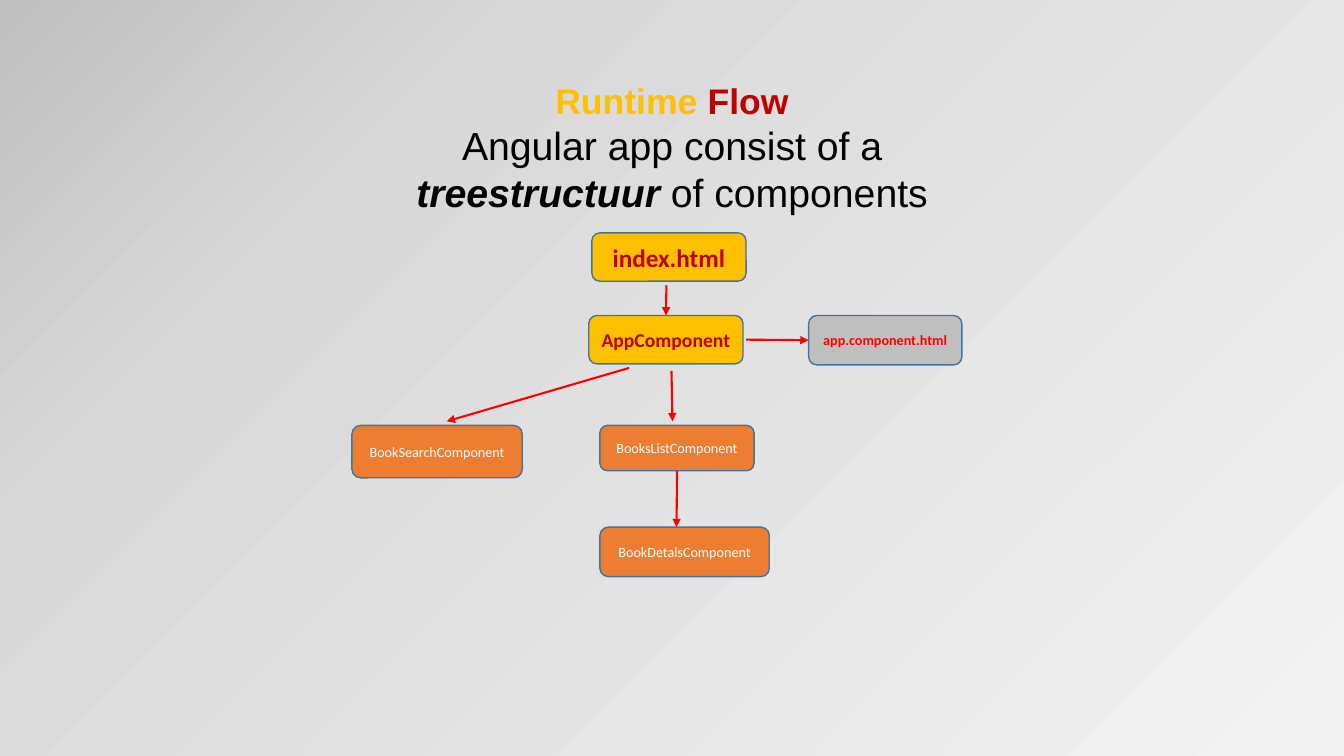
"""Build a slide showing the runtime flow of an Angular app."""
from dataclasses import dataclass

from lxml import etree
from pptx import Presentation
from pptx.dml.color import RGBColor
from pptx.enum.shapes import MSO_CONNECTOR as Connector, MSO_SHAPE as Shape
from pptx.enum.text import MSO_ANCHOR as Anchor, PP_ALIGN as Align
from pptx.oxml.ns import qn
from pptx.util import Inches, Pt


@dataclass(frozen=True)
class Theme:
    amber: str = "FFC000"
    dark_red: str = "C00000"
    red: str = "FF0000"
    orange: str = "ED7D31"
    grey: str = "BFBFBF"
    white: str = "FFFFFF"
    black: str = "000000"
    outline: str = "43739E"
    backdrop: tuple = ((1, "F2F2F2"), (74, "D9D9D9"), (100, "BFBFBF"), (100, "A6A6A6"))
    title_font: str = "Arial"
    box_font: str = "Calibri"
    heading: float = 25.4
    subtitle: float = 28
    root: float = 18
    component: float = 14
    small: float = 10.1


THEME = Theme()


def paint_background(slide):
    slide.background.fill.gradient()
    gradient = slide._element.find(".//" + qn("a:gradFill"))
    for child in list(gradient):
        gradient.remove(child)
    stops = etree.SubElement(gradient, qn("a:gsLst"))
    for position, color in THEME.backdrop:
        stop = etree.SubElement(stops, qn("a:gs"), pos=str(position * 1000))
        etree.SubElement(stop, qn("a:srgbClr"), val=color)
    circle = etree.SubElement(gradient, qn("a:path"), path="circle")
    etree.SubElement(circle, qn("a:fillToRect"), l="100000", t="100000")
    etree.SubElement(gradient, qn("a:tileRect"), r="-100000", b="-100000")


def add_text(paragraph, text, *, size, color, font, bold=False, italic=False):
    run = paragraph.add_run()
    run.text = text
    run.font.name = font
    run.font.size = Pt(size)
    run.font.bold = bold
    run.font.italic = italic
    run.font.color.rgb = RGBColor.from_string(color)


def add_title(slide):
    box = slide.shapes.add_textbox(Inches(3.27), Inches(0.8), Inches(6.79), Inches(1.32))
    frame = box.text_frame
    frame.word_wrap = True
    frame.vertical_anchor = Anchor.MIDDLE
    frame.margin_top = frame.margin_bottom = 0
    paragraph = frame.paragraphs[0]
    paragraph.alignment = Align.CENTER
    heading = dict(size=THEME.heading, font=THEME.title_font, bold=True)
    subtitle = dict(size=THEME.subtitle, font=THEME.title_font, color=THEME.black)
    add_text(paragraph, "Runtime ", color=THEME.amber, **heading)
    add_text(paragraph, "Flow", color=THEME.dark_red, **heading)
    paragraph.add_line_break()
    add_text(paragraph, "Angular app consist of a ", **subtitle)
    add_text(paragraph, "treestructuur", bold=True, italic=True, **subtitle)
    add_text(paragraph, " of components", **subtitle)


def add_box(slide, text, left, top, width, height, *, fill=THEME.orange, **text_format):
    shape = slide.shapes.add_shape(
        Shape.ROUNDED_RECTANGLE, Inches(left), Inches(top), Inches(width), Inches(height))
    shape.shadow.inherit = False
    shape.fill.solid()
    shape.fill.fore_color.rgb = RGBColor.from_string(fill)
    shape.line.color.rgb = RGBColor.from_string(THEME.outline)
    shape.line.width = Pt(1)
    frame = shape.text_frame
    frame.word_wrap = False
    frame.vertical_anchor = Anchor.MIDDLE
    paragraph = frame.paragraphs[0]
    paragraph.alignment = Align.CENTER
    defaults = dict(size=THEME.small, color=THEME.white, font=THEME.box_font)
    add_text(paragraph, text, **(defaults | text_format))
    return shape


def add_arrow(slide, start, end):
    arrow = slide.shapes.add_connector(
        Connector.STRAIGHT, *(Inches(value) for value in (*start, *end)))
    arrow.line.color.rgb = RGBColor.from_string(THEME.red)
    arrow.line.width = Pt(1.5)
    etree.SubElement(arrow.line._get_or_add_ln(), qn("a:tailEnd"), type="triangle")
    etree.SubElement(arrow._element.spPr, qn("a:effectLst"))
    return arrow


def main():
    presentation = Presentation()
    presentation.slide_width = Inches(13.33)
    presentation.slide_height = Inches(7.5)
    slide = presentation.slides.add_slide(presentation.slide_layouts[6])
    paint_background(slide)
    add_title(slide)

    main_box = dict(fill=THEME.amber, color=THEME.dark_red, bold=True)
    app = add_box(slide, "AppComponent", 5.84, 3.13, 1.53, 0.48,
                  size=THEME.component, **main_box)
    books_list = add_box(slide, "BooksListComponent", 5.95, 4.22, 1.53, 0.45)
    add_box(slide, "BookDetalsComponent", 5.95, 5.23, 1.68, 0.49)
    add_box(slide, "BookSearchComponent", 3.49, 4.22, 1.69, 0.52)
    add_box(slide, "index.html", 5.87, 2.31, 1.53, 0.48, size=THEME.root, **main_box)
    template = add_box(slide, "app.component.html", 8.02, 3.13, 1.52, 0.49,
                       fill=THEME.grey, color=THEME.red, bold=True)

    add_arrow(slide, (6.66, 3.68), (6.67, 4.18))
    add_arrow(slide, (6.24, 3.65), (4.43, 4.18))
    add_arrow(slide, (6.71, 4.67), (6.71, 5.23)).begin_connect(books_list, 2)
    add_arrow(slide, (6.61, 2.83), (6.61, 3.13)).end_connect(app, 0)
    add_arrow(slide, (7.4, 3.37), (8.02, 3.37)).end_connect(template, 1)
    presentation.save("out.pptx")


if __name__ == "__main__":
    main()
